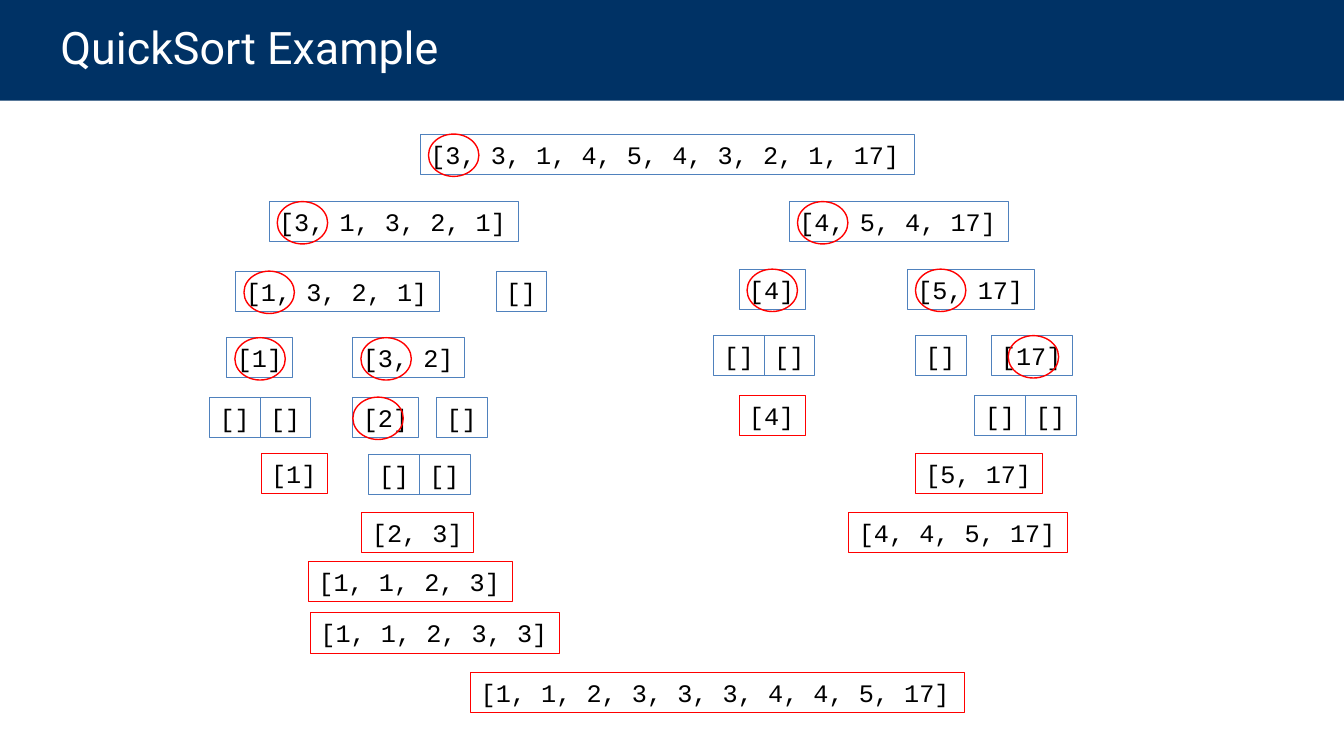
from dataclasses import dataclass

from pptx import Presentation
from pptx.dml.color import RGBColor
from pptx.enum import shapes, text
from pptx.util import Inches, Pt


@dataclass(frozen=True)
class Theme:
    navy: RGBColor = RGBColor.from_string("003265")
    white: RGBColor = RGBColor.from_string("FFFFFF")
    black: RGBColor = RGBColor.from_string("000000")
    blue: RGBColor = RGBColor.from_string("4F81BD")
    red: RGBColor = RGBColor.from_string("FF0000")
    title_font: str = "Roboto"
    code_font: str = "Courier New"
    title_size: int = 32
    code_size: int = 18
    box_line: float = 0.75
    pivot_line: float = 1


THEME = Theme()
BOX_HEIGHT = 0.4
INSET = 0.1
CHAR_WIDTH = 4.7 / 31
PIVOT_SIZE = (0.5, 0.42)
PIVOT_DX = 0.08

# Each row: distance from the top of the branch, then (left, values) per list.
LEFT_SPLITS = [
    (0, [(0.59, "[3, 1, 3, 2, 1]")]),
    (0.69, [(0.26, "[1, 3, 2, 1]"), (2.84, "[]")]),
    (1.35, [(0.17, "[1]"), (1.42, "[3, 2]")]),
    (1.94, [(0, "[]"), (0.5, "[]"), (1.42, "[2]"), (2.25, "[]")]),
    (2.51, [(1.58, "[]"), (2.08, "[]")]),
]
LEFT_MERGES = [
    (2.5, [(0.51, "[1]")]),
    (3.08, [(1.51, "[2, 3]")]),
    (3.57, [(0.98, "[1, 1, 2, 3]")]),
    (4.08, [(1, "[1, 1, 2, 3, 3]")]),
]
RIGHT_SPLITS = [
    (0, [(0.75, "[4, 5, 4, 17]")]),
    (0.67, [(0.25, "[4]"), (1.92, "[5, 17]")]),
    (1.33, [(0, "[]"), (0.5, "[]"), (2, "[]"), (2.75, "[17]")]),
    (1.92, [(2.59, "[]"), (3.09, "[]")]),
]
RIGHT_MERGES = [
    (1.92, [(0.25, "[4]")]),
    (2.5, [(2, "[5, 17]")]),
    (3.08, [(1.34, "[4, 4, 5, 17]")]),
]
# Pivot rings that do not sit at the usual offset.
RING_OFFSETS = {"[2]": 0, "[17]": 0.17}


def add_plain_shape(slide, kind, x, y, w, h):
    """Add a shape with no shadow, fill or line."""
    sp = slide.shapes.add_shape(kind, Inches(x), Inches(y), Inches(w), Inches(h))
    sp.shadow.inherit = False
    sp.fill.background()
    sp.line.fill.background()
    return sp


def set_line(sp, color, width):
    sp.line.color.rgb = color
    sp.line.width = Pt(width)


def set_text(sp, words, font, size, color, anchor, left, right):
    tf = sp.text_frame
    tf.word_wrap = True
    tf.vertical_anchor = anchor
    tf.margin_left, tf.margin_right = Inches(left), Inches(right)
    tf.margin_top = tf.margin_bottom = Inches(0.05)
    tf.text = words
    p = tf.paragraphs[0]
    p.alignment = text.PP_ALIGN.LEFT
    r = p.runs[0]
    r.font.name = font
    r.font.size = Pt(size)
    r.font.color.rgb = color
    return p


def add_title_bar(slide, words, x, y, w, h):
    sp = add_plain_shape(slide, shapes.MSO_SHAPE.RECTANGLE, x, y, w, h)
    sp.fill.solid()
    sp.fill.fore_color.rgb = THEME.navy
    p = set_text(sp, words, THEME.title_font, THEME.title_size, THEME.white,
                 text.MSO_ANCHOR.MIDDLE, 0.6, 1)
    p.line_spacing = 0.9


def add_list_box(slide, values, x, y, color):
    """Add a list in a box as wide as its characters need."""
    width = 2 * INSET + CHAR_WIDTH * len(values)
    sp = add_plain_shape(slide, shapes.MSO_SHAPE.RECTANGLE, x, y, width, BOX_HEIGHT)
    set_line(sp, color, THEME.box_line)
    set_text(sp, values, THEME.code_font, THEME.code_size, THEME.black,
             text.MSO_ANCHOR.TOP, INSET, INSET)


def add_split(slide, values, x, y):
    """Add a list still to be sorted, its pivot ringed unless it is empty."""
    add_list_box(slide, values, x, y, THEME.blue)
    if values != "[]":
        dx = RING_OFFSETS.get(values, PIVOT_DX)
        ring = add_plain_shape(slide, shapes.MSO_SHAPE.OVAL, x + dx, y, *PIVOT_SIZE)
        set_line(ring, THEME.red, THEME.pivot_line)


def add_branch(slide, splits, merges, x, y):
    for dy, row in splits:
        for dx, values in row:
            add_split(slide, values, x + dx, y + dy)
    for dy, row in merges:
        for dx, values in row:
            add_list_box(slide, values, x + dx, y + dy, THEME.red)


def main():
    prs = Presentation()
    prs.slide_width, prs.slide_height = Inches(13.33), Inches(7.5)
    slide = prs.slides.add_slide(prs.slide_layouts[6])
    add_title_bar(slide, "QuickSort Example", 0, 0, 13.33, 1)
    add_split(slide, "[3, 3, 1, 4, 5, 4, 3, 2, 1, 17]", 4.17, 1.33)
    add_branch(slide, LEFT_SPLITS, LEFT_MERGES, 2.08, 2)
    add_branch(slide, RIGHT_SPLITS, RIGHT_MERGES, 7.08, 2)
    add_list_box(slide, "[1, 1, 2, 3, 3, 3, 4, 4, 5, 17]", 4.67, 6.67, THEME.red)
    prs.save("out.pptx")


if __name__ == "__main__":
    main()
